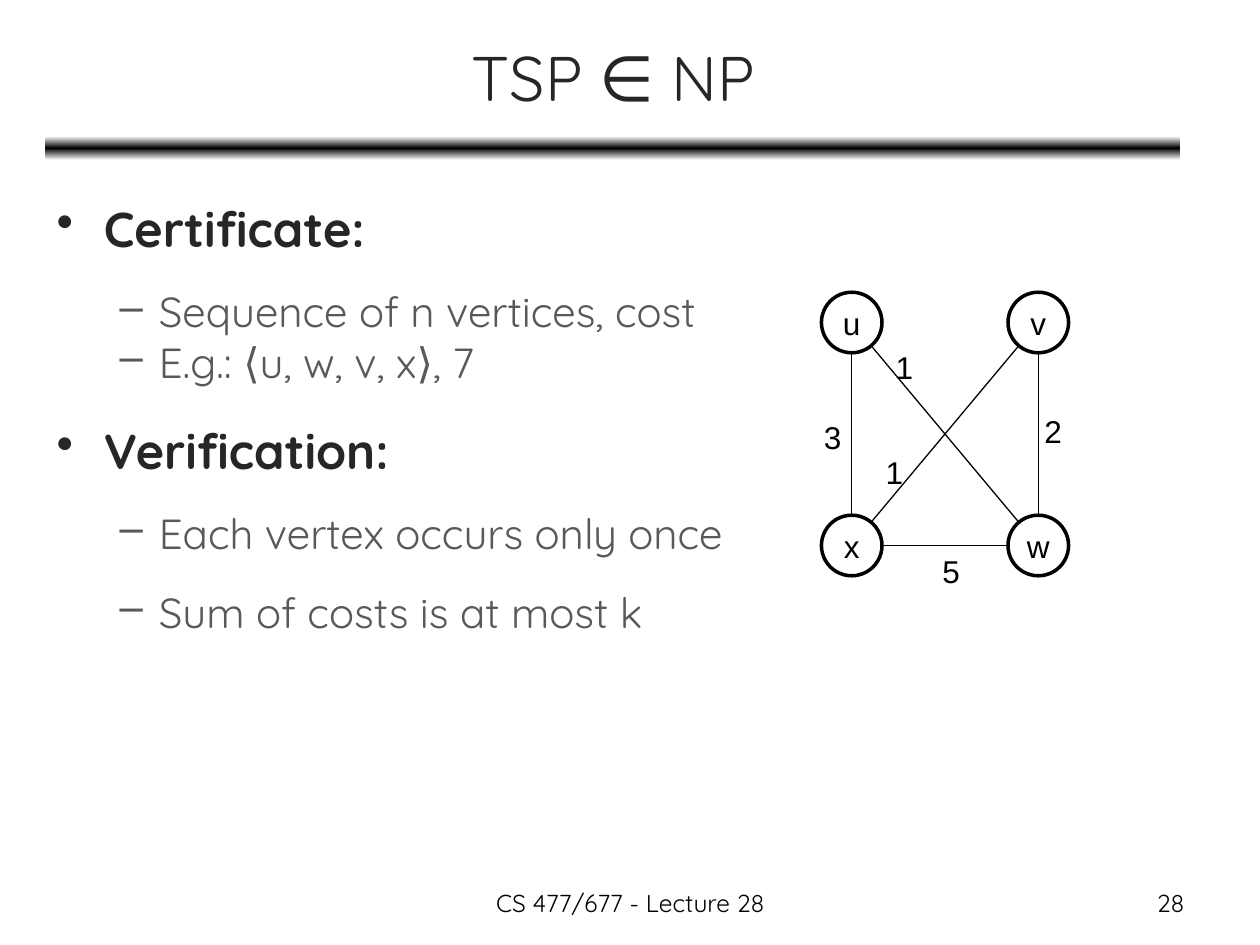
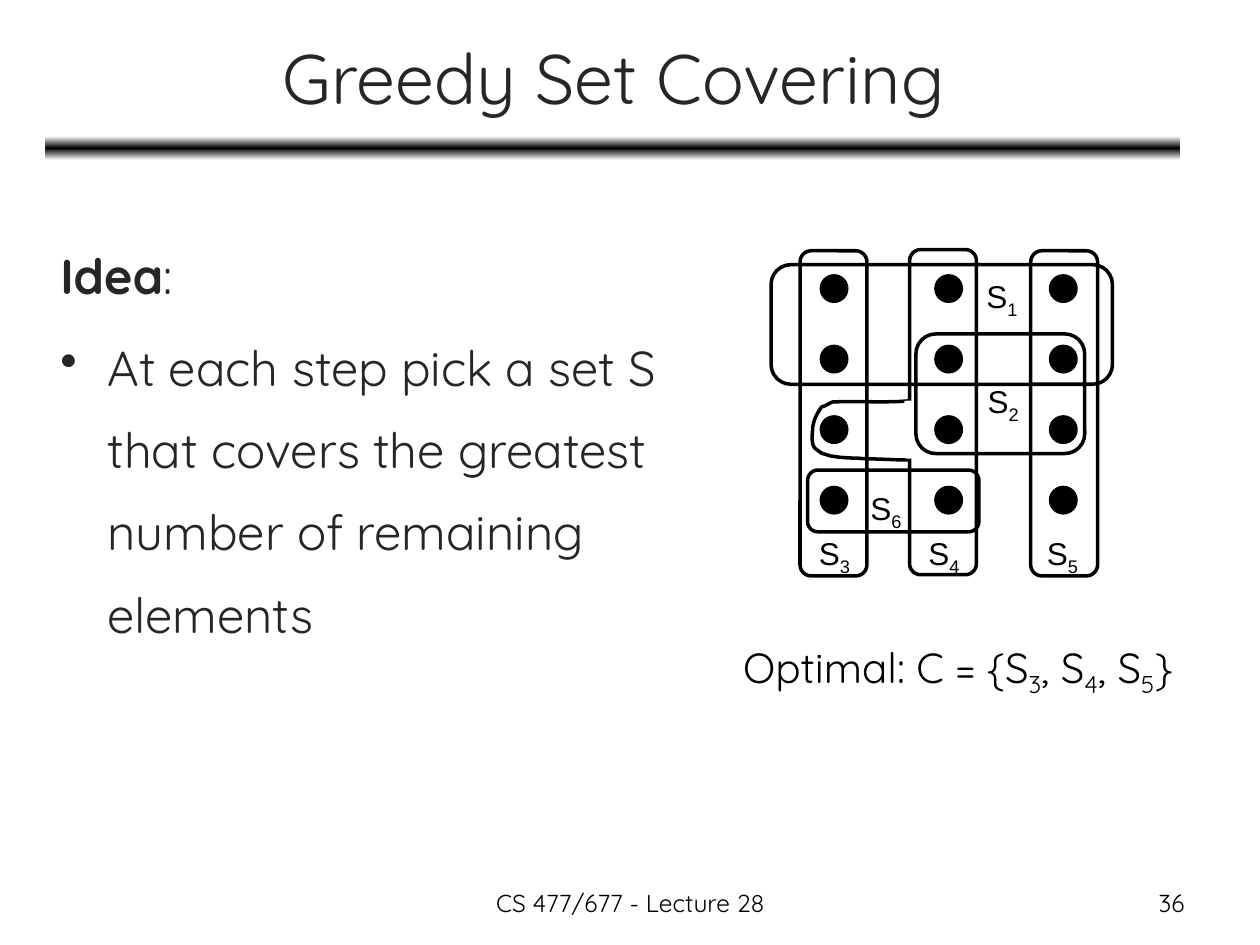
import math

import pptx
import pptx.dml.color
import pptx.enum.shapes
import pptx.enum.text
import pptx.oxml
import pptx.oxml.ns
import pptx.util
from lxml import etree

Pt = pptx.util.Pt
SHAPES = pptx.enum.shapes.MSO_SHAPE
ALIGN = pptx.enum.text.PP_ALIGN
ANCHOR = pptx.enum.text.MSO_ANCHOR

BLACK, WHITE, DARK, GRAY = "000000", "FFFFFF", "262626", "595959"
MAIN_FONT, LABEL_FONT = "Quicksand", "Arial"
FOOTER = "CS 477/677 - Lecture 28"

HEADING = dict(size=28, color=DARK, indent=27, hang=27, spacing=1.4, before=5.6)
BULLET = dict(HEADING, bullet="•")
DETAIL = dict(size=24, color=GRAY, indent=58.5, hang=22.5, bullet="–", level=1, spacing=1.4, before=4.8)
TIGHT_DETAIL = dict(DETAIL, spacing=1, before=0)

TSP_BODY = [
    ([("Certificate:", "bold")], BULLET),
    ("Sequence of n vertices, cost", DETAIL),
    ("E.g.: ⟨u, w, v, x⟩, 7", TIGHT_DETAIL),
    ([("Verification:", "bold")], BULLET),
    ("Each vertex occurs only once", DETAIL),
    ("Sum of costs is at most k", DETAIL),
]
GREEDY_BODY = [
    ([("Idea", "bold"), (":", "")], HEADING),
    ("At each step pick a set S that covers the greatest number of remaining elements", BULLET),
]

VERTEX_SIZE = 34.6
VERTICES = {"u": (0, 0), "v": (1, 0), "x": (0, 1), "w": (1, 1)}
EDGES = [
    ("x", "w", "5", (531.4, 311.8)),
    ("u", "x", "3", (463.7, 235.4)),
    ("v", "w", "2", (589.7, 231.8)),
    ("v", "x", "1", (499, 255.6)),
    ("u", "w", "1", (504.7, 195.1)),
]

DOT_SIZE, DOT_COLUMNS, DOT_ROWS = 15.8, 3, 4
COLUMN_SIZE = (38.2, 185.8)
SETS = [
    ("1", (440.6, 151.2, 195.1, 68.4), (556.6, 154.8)),
    ("2", (523.4, 190.8, 96.5, 68.4), (557.3, 214.6)),
    ("3", (457.2, 143.3, *COLUMN_SIZE), (460.8, 301.7)),
    ("4", (519.8, 142.6, *COLUMN_SIZE), (523.4, 301.7)),
    ("5", (589, 143.3, *COLUMN_SIZE), (591.1, 301.7)),
    ("6", (461.5, 268.6, 97.9, 35.3), (490.3, 275.8)),
]
BULGE_START = (520.6, 229)
BULGE_CURVES = [
    ((506.2, 230.4), (490.3, 229), (475.9, 229.7)),
    ((473.8, 230.4), (472.3, 231.8), (469.4, 232.6)),
    ((468, 234.7), (466.6, 236.9), (465.8, 239)),
    ((465.1, 240.5), (464.4, 244.1), (464.4, 244.1)),
    ((464.4, 247.7), (463, 253.4), (465.8, 256.3)),
    ((470.9, 262.8), (489.6, 261.4), (493.2, 262.1)),
    ((515.5, 262.8), (509, 262.8), (519.8, 262.8)),
]


def rgb(color):
    return pptx.dml.color.RGBColor.from_string(color)


def points(*values):
    return [Pt(value) for value in values]


def write(paragraph, text, size=18, color=BLACK, font=MAIN_FONT, align=ALIGN.LEFT,
          indent=0, hang=0, bullet=None, level=0, spacing=1, before=0):
    paragraph.level = level
    properties = paragraph._p.get_or_add_pPr()
    properties.set("marL", str(Pt(indent)))
    properties.set("indent", str(-Pt(hang)))
    name = "a:buChar" if bullet else "a:buNone"
    mark = etree.SubElement(properties, pptx.oxml.ns.qn(name))
    if bullet:
        mark.set("char", bullet)
    paragraph.alignment = align
    paragraph.line_spacing = float(spacing)
    paragraph.space_before = Pt(before)
    runs = [(text, "")] if isinstance(text, str) else text
    for words, style in runs:
        run = paragraph.add_run()
        run.text = words
        run.font.name = font
        run.font.size = Pt(size)
        run.font.color.rgb = rgb(color)
        run.font.bold = style == "bold"
        if style == "sub":
            run._r.get_or_add_rPr().set("baseline", "-25000")


def add_text(slide, box, text, wrap=True, anchor=ANCHOR.TOP, **text_format):
    shape = slide.shapes.add_textbox(*points(*box))
    shape.text_frame.word_wrap = wrap
    shape.text_frame.vertical_anchor = anchor
    write(shape.text_frame.paragraphs[0], text, **text_format)


def add_body(slide, box, items):
    frame = slide.shapes.add_textbox(*points(*box)).text_frame
    frame.word_wrap = True
    for index, (text, text_format) in enumerate(items):
        paragraph = frame.add_paragraph() if index else frame.paragraphs[0]
        if not index:
            text_format = dict(text_format, before=0)
        write(paragraph, text, **text_format)


def style_shape(shape, fill=None, line_width=2):
    shape.shadow.inherit = False
    if fill:
        shape.fill.solid()
        shape.fill.fore_color.rgb = rgb(fill)
    else:
        shape.fill.background()
    shape.line.color.rgb = rgb(BLACK)
    shape.line.width = Pt(line_width)


def add_shape(slide, kind, box, **style):
    shape = slide.shapes.add_shape(kind, *points(*box))
    style_shape(shape, **style)
    return shape


def add_line(slide, start, end, color=BLACK, width=0.75):
    line = slide.shapes.add_connector(
        pptx.enum.shapes.MSO_CONNECTOR.STRAIGHT, *points(*start, *end))
    line.line.color.rgb = rgb(color)
    line.line.width = Pt(width)
    etree.SubElement(line._element.spPr, pptx.oxml.ns.qn("a:effectLst"))


def add_title_bar(slide):
    bar = slide.shapes.add_shape(SHAPES.ROUNDED_RECTANGLE, *points(25.9, 77.8, 648.7, 13.7))
    bar.shadow.inherit = False
    bar.line.fill.background()
    bar.fill.gradient()
    bar.fill.gradient_angle = 90
    stops = bar._element.spPr.find(".//" + pptx.oxml.ns.qn("a:gsLst"))
    for stop in list(stops):
        stops.remove(stop)
    for position, color in ((0, WHITE), (50000, BLACK), (100000, WHITE)):
        stop = etree.SubElement(stops, pptx.oxml.ns.qn("a:gs"), pos=str(position))
        etree.SubElement(stop, pptx.oxml.ns.qn("a:srgbClr"), val=color)


def add_slide(presentation, title, title_size, number):
    slide = presentation.slides.add_slide(presentation.slide_layouts[6])
    add_title_bar(slide)
    add_text(slide, (26.6, 7.9, 648, 71.3), title, anchor=ANCHOR.MIDDLE,
             size=title_size, color=DARK, align=ALIGN.CENTER)
    add_text(slide, (516.2, 504, 167.8, 25.2), number, size=14, align=ALIGN.RIGHT)
    add_text(slide, (246.2, 504, 228.2, 25.2), FOOTER, size=14, align=ALIGN.CENTER)
    return slide


def add_graph(slide):
    radius = VERTEX_SIZE / 2
    centers = {}
    for name, (column, row) in VERTICES.items():
        left, top = 469.4 + column * 106.6, 167 + row * 127.4
        centers[name] = (left + radius, top + radius)
        vertex = add_shape(slide, SHAPES.OVAL, (left, top, VERTEX_SIZE, VERTEX_SIZE), fill=WHITE)
        vertex.text_frame.word_wrap = False
        vertex.text_frame.vertical_anchor = ANCHOR.MIDDLE
        write(vertex.text_frame.paragraphs[0], name, font=LABEL_FONT, align=ALIGN.CENTER)
    for first, second, cost, position in EDGES:
        (x1, y1), (x2, y2) = centers[first], centers[second]
        angle = math.atan2(y2 - y1, x2 - x1)
        dx, dy = radius * math.cos(angle), radius * math.sin(angle)
        add_line(slide, (x1 + dx, y1 + dy), (x2 - dx, y2 - dy))
        add_text(slide, (*position, 24.5, 28.8), cost, wrap=False, font=LABEL_FONT)


def curve_points(start, curves, steps=6):
    for curve in curves:
        controls = (start, *curve)
        for step in range(1, steps + 1):
            t = step / steps
            weights = [math.comb(3, k) * t ** k * (1 - t) ** (3 - k) for k in range(4)]
            yield tuple(Pt(sum(w * c[axis] for w, c in zip(weights, controls))) for axis in (0, 1))
        start = curve[-1]


def add_set_cover(slide):
    for column in range(DOT_COLUMNS):
        for row in range(DOT_ROWS):
            box = (468.7 + column * 65.5, 157 + row * 40.3, DOT_SIZE, DOT_SIZE)
            add_shape(slide, SHAPES.OVAL, box, fill=BLACK, line_width=0.75)
    for _, box, _ in SETS:
        add_shape(slide, SHAPES.ROUNDED_RECTANGLE, box)
    builder = slide.shapes.build_freeform(*points(*BULGE_START))
    builder.add_line_segments(list(curve_points(BULGE_START, BULGE_CURVES)), close=False)
    style_shape(builder.convert_to_shape())
    add_line(slide, (519.1, 229), (519.8, 262.1), color=WHITE, width=4.5)
    for number, _, position in SETS:
        add_text(slide, (*position, 33.1, 28.8), [("S", ""), (number, "sub")],
                 wrap=False, font=LABEL_FONT)


def main():
    presentation = pptx.Presentation()
    presentation.slide_width, presentation.slide_height = points(720, 540)

    slide = add_slide(presentation, "TSP ∈ NP", 36, "28")
    add_body(slide, (25.2, 96.5, 677.5, 426.2), TSP_BODY)
    add_graph(slide)

    slide = add_slide(presentation, "Greedy Set Covering", 40, "36")
    add_body(slide, (27.4, 123.1, 357.1, 372.2), GREEDY_BODY)
    add_set_cover(slide)
    optimal = [("Optimal: C = {S", ""), ("3", "sub"), (", S", ""), ("4", "sub"),
               (", S", ""), ("5", "sub"), ("}", "")]
    add_text(slide, (417.6, 362.9, 277.2, 36), optimal, wrap=False, size=24)

    presentation.save("out.pptx")


if __name__ == "__main__":
    main()
